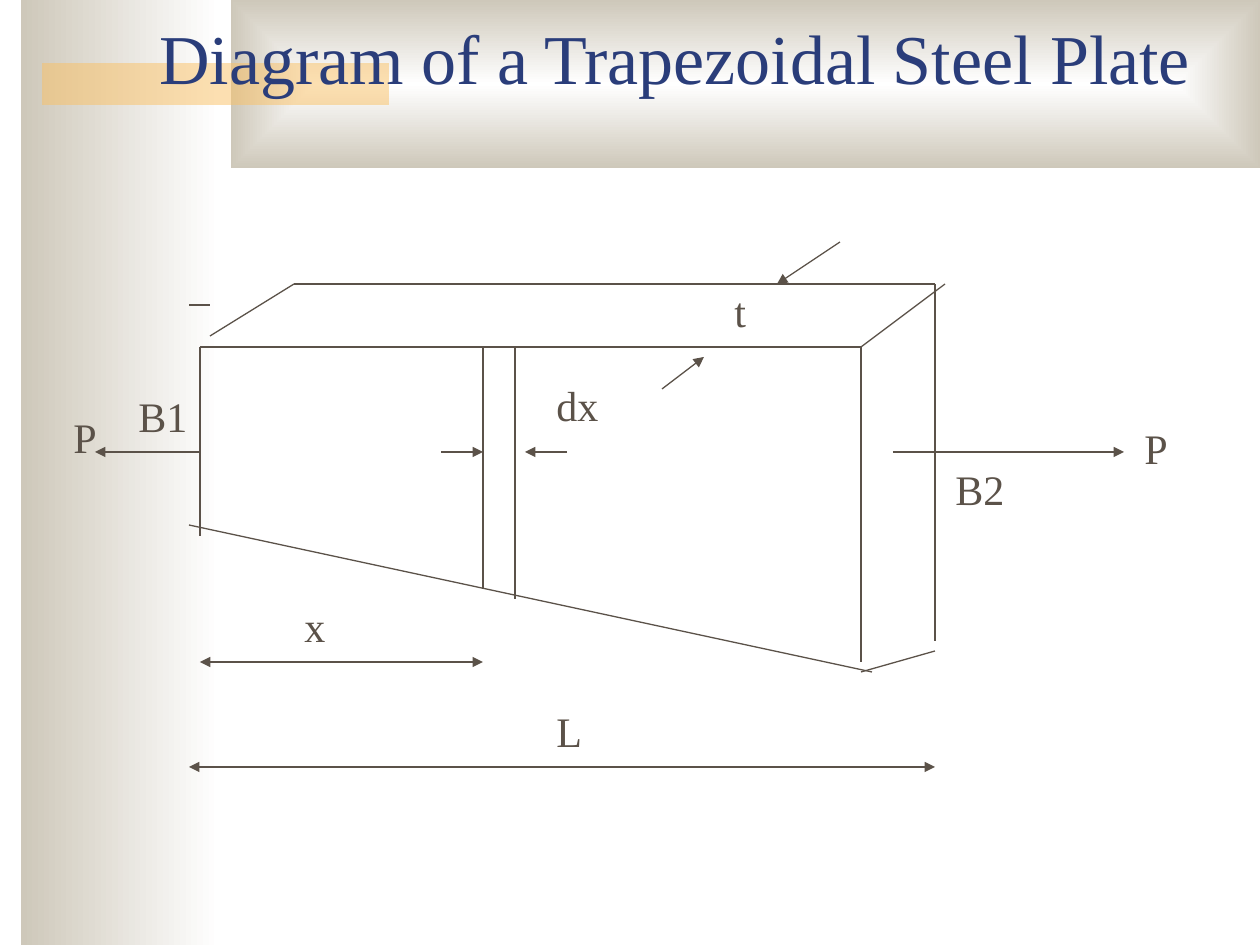
from lxml import etree
from pptx import Presentation
from pptx.dml.color import RGBColor
from pptx.enum.shapes import MSO_CONNECTOR, MSO_SHAPE
from pptx.enum.text import MSO_ANCHOR, MSO_AUTO_SIZE
from pptx.oxml.ns import qn
from pptx.util import Emu, Pt

RECT = MSO_SHAPE.RECTANGLE
LINE = MSO_CONNECTOR.STRAIGHT
BOTTOM = MSO_ANCHOR.BOTTOM
FIT = MSO_AUTO_SIZE.SHAPE_TO_FIT_TEXT
FIXED = MSO_AUTO_SIZE.NONE
COLORS = {"ink": "5B5249", "title": "2A3D7A", "sand": "CEC8BA",
          "white": "FFFFFF", "gold": "FAC164"}


def px(n):
    return Emu(round(n * 914400 / 126))


def rgb(name):
    return RGBColor.from_string(COLORS[name])


class Sketch:
    font = "Times New Roman"
    weight = Pt(0.75)

    def __init__(self, slide):
        self.slide = slide

    def block(self, x, y, w, h):
        shape = self.slide.shapes.add_shape(RECT, px(x), px(y), px(w), px(h))
        shape.shadow.inherit = False
        shape.line.fill.background()
        return shape

    def fade(self, x, y, w, h, inset=False):
        shape = self.block(x, y, w, h)
        shape.fill.gradient()
        shape.fill.gradient_angle = 180
        for stop, name in zip(shape.fill.gradient_stops, ("white", "sand")):
            stop.color.rgb = rgb(name)
        if inset:
            grad = shape.element.spPr.find(qn("a:gradFill"))
            grad.remove(grad.find(qn("a:lin")))
            focus = etree.SubElement(grad, qn("a:path"), path="rect")
            etree.SubElement(focus, qn("a:fillToRect"),
                             {side: "50000" for side in "ltrb"})

    def tint(self, x, y, w, h, name, alpha):
        shape = self.block(x, y, w, h)
        shape.fill.solid()
        shape.fill.fore_color.rgb = rgb(name)
        color = shape.element.spPr.find(".//" + qn("a:srgbClr"))
        etree.SubElement(color, qn("a:alpha"), val=str(alpha * 1000))

    def line(self, x1, y1, x2, y2, *ends):
        edge = self.slide.shapes.add_connector(
            LINE, px(x1), px(y1), px(x2), px(y2))
        edge.line.color.rgb = rgb("ink")
        edge.line.width = self.weight
        props = edge.element.spPr
        for end in ends:
            etree.SubElement(props.find(qn("a:ln")), qn("a:" + end),
                             type="triangle")
        etree.SubElement(props, qn("a:effectLst"))

    def text(self, words, x, y, w, h=63, size=24, name="ink", wrap=False):
        box = self.slide.shapes.add_textbox(px(x), px(y), px(w), px(h))
        frame = box.text_frame
        frame.text = words
        frame.word_wrap = wrap
        frame.auto_size = FIT
        font = frame.paragraphs[0].runs[0].font
        font.name = self.font
        font.size = Pt(size)
        font.color.rgb = rgb(name)
        return frame


def main():
    deck = Presentation()
    deck.slide_width, deck.slide_height = px(1260), px(945)
    art = Sketch(deck.slides.add_slide(deck.slide_layouts[6]))

    art.fade(21, 0, 199, 945)
    art.fade(231, 0, 1029, 168, inset=True)
    art.tint(42, 63, 347, 42, "gold", 50)
    title = art.text("Diagram of a Trapezoidal Steel Plate",
                     147, 0, 1071, 105, 40, "title", True)
    title.auto_size = FIXED
    title.vertical_anchor = BOTTOM

    left, right, back = 200, 861, 935
    top, rear, mid = 347, 284, 452
    cut, slice_end = 483, 515
    edges = [
        (189, 525, 872, 672),
        (left, 536, left, top),
        (210, 305, 189, 305),
        (left, top, right, top),
        (210, 336, 294, rear),
        (294, rear, back, rear),
        (945, rear, right, top),
        (right, top, right, 662),
        (back, rear, back, 641),
        (right, 672, back, 651),
        (cut, top, cut, 588),
        (slice_end, top, slice_end, 599),
    ]
    arrows = [
        (441, mid, cut, mid),
        (567, mid, 525, mid),
        (893, mid, 1124, mid),
        (left, mid, 95, mid),
        (662, 389, 704, 357),
        (840, 242, 777, rear),
    ]
    spans = [(left, 662, cut, 662), (189, 767, back, 767)]
    for edge in edges:
        art.line(*edge)
    for arrow in arrows:
        art.line(*arrow, "tailEnd")
    for span in spans:
        art.line(*span, "headEnd", "tailEnd")

    labels = [
        ("dx", 544, 373, 67),
        ("P", 1132, 416, 48),
        ("P", 61, 405, 48),
        ("x", 292, 594, 45),
        ("L", 544, 699, 50),
        ("B2", 943, 457, 74),
        ("t", 722, 279, 37),
    ]
    for label in labels:
        art.text(*label)
    art.text("B1", 126, 384, 103, wrap=True)

    deck.save("out.pptx")


if __name__ == "__main__":
    main()
